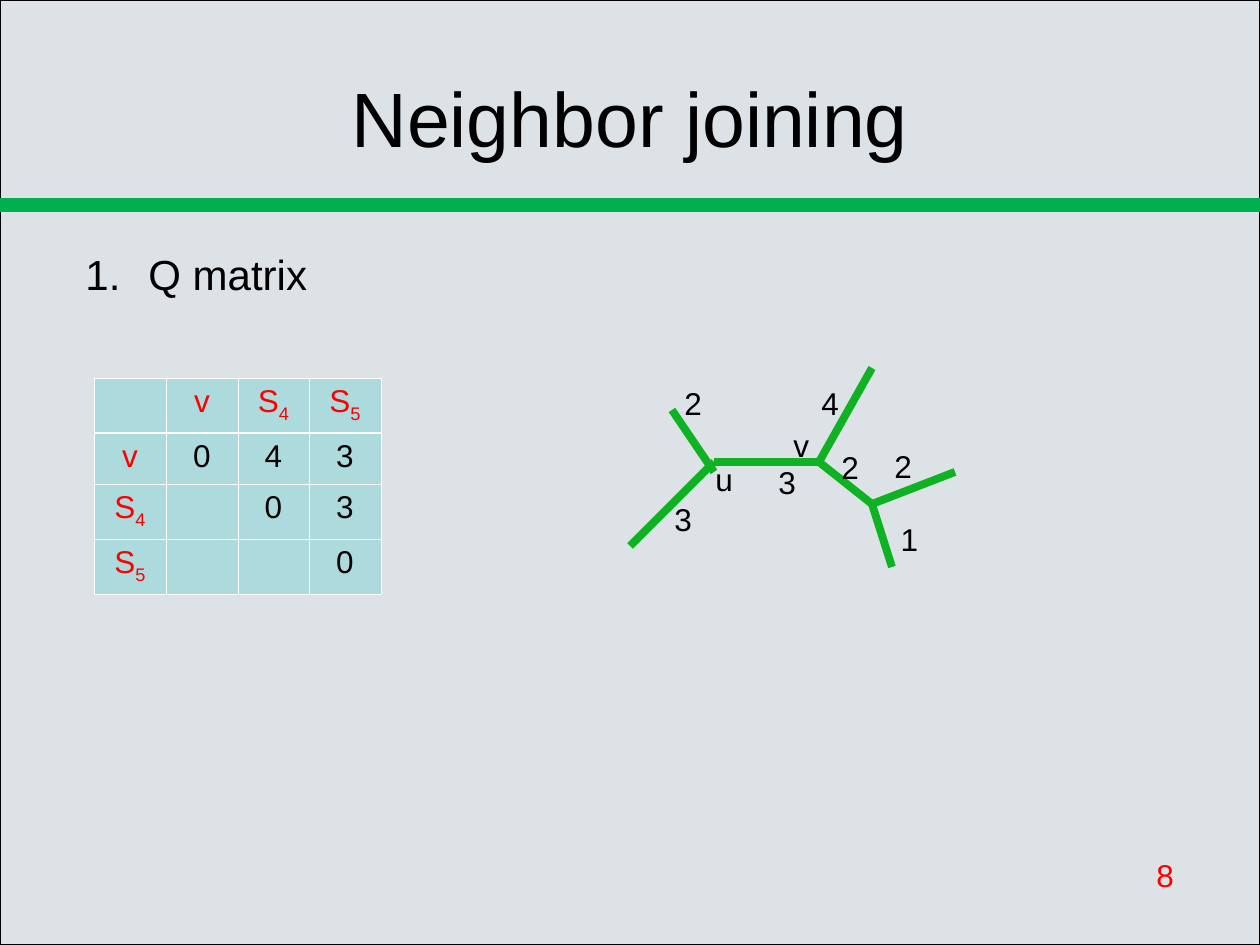
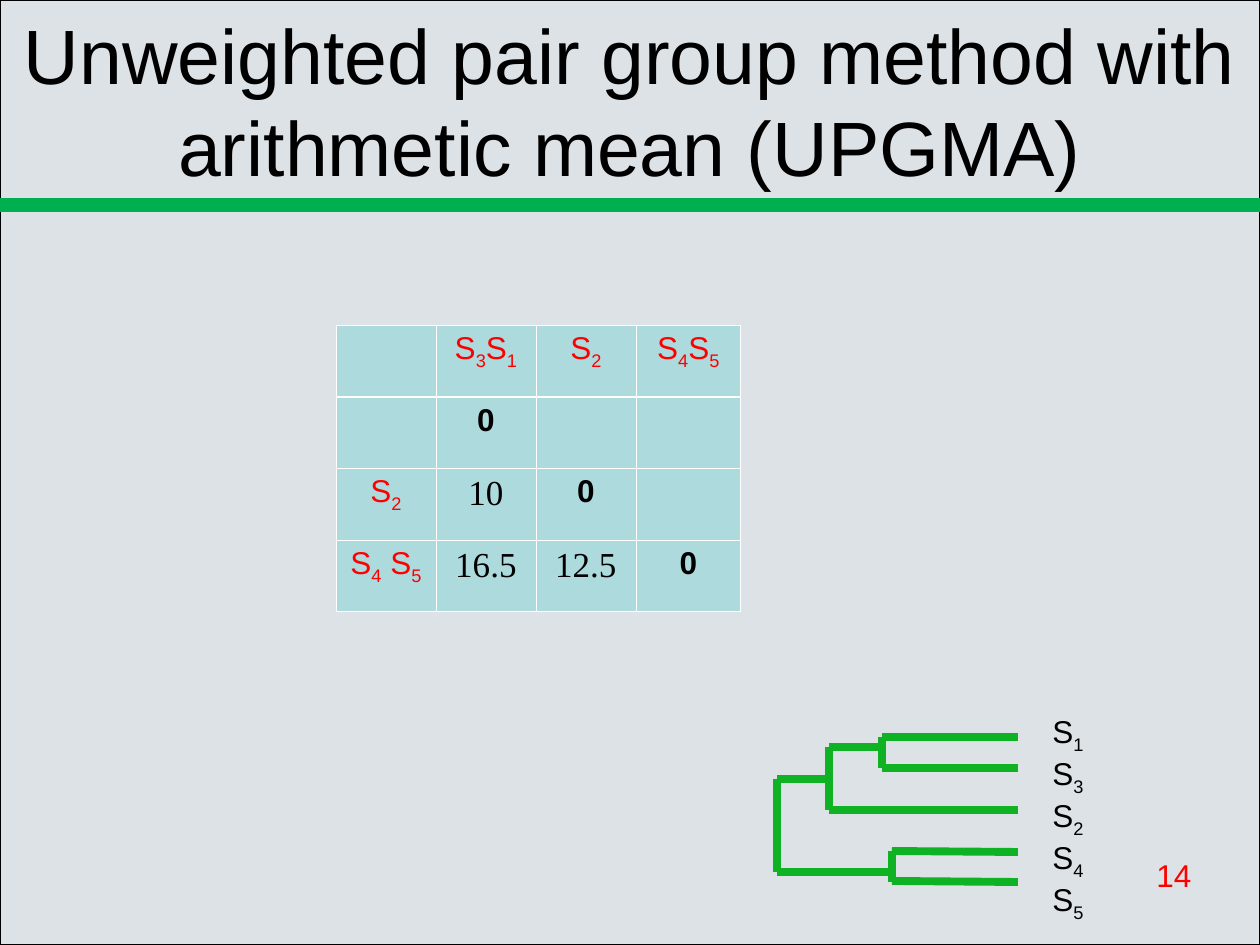
from pptx import Presentation
from pptx.dml.color import RGBColor
from pptx.enum.shapes import MSO_CONNECTOR, MSO_SHAPE
from pptx.enum.text import MSO_ANCHOR, MSO_AUTO_SIZE, PP_ALIGN
from pptx.oxml.ns import qn
from pptx.util import Pt
from lxml.etree import SubElement

WIDE, HIGH = 1260, 945
SCALE = 914400 / 126
HUES = {"back": "DDE2E7", "band": "00B050", "tree": "0EB222", "cell": "ADDADD",
        "ink": "000000", "red": "FF0000", "white": "FFFFFF"}

BASE = {"name": "Arial", "size": Pt(18), "bold": False}
BOLD = {**BASE, "bold": True}
SERIF = {**BASE, "name": "Times New Roman", "size": Pt(20)}
HEAD = {**BASE, "size": Pt(44)}
LIST = {**BASE, "size": Pt(24)}
FRAME = {"word_wrap": True, "auto_size": MSO_AUTO_SIZE.NONE}
MID = {**FRAME, "vertical_anchor": MSO_ANCHOR.MIDDLE}
PLAIN = {"first_row": False, "horz_banding": False}

SLIDES = [
    {
        "title": "Neighbor joining",
        "spot": (63, 38, 1134, 158),
        "page": "8",
        "steps": ["Q matrix"],
        "grid": [["", "v", "S_4", "S_5"],
                 ["v", "0", "4", "3"],
                 ["S_4", "", "0", "3"],
                 ["S_5", "", "", "0"]],
        "at": (94, 378),
        "cols": [72, 72, 71, 72],
        "rows": [55, 51, 55, 55],
        "zero": BASE,
        "value": BASE,
        "lines": [(672, 410, 714, 472), (714, 462, 630, 546),
                  (714, 462, 819, 462), (819, 462, 872, 368),
                  (819, 462, 872, 504), (872, 504, 955, 472),
                  (872, 504, 892, 567)],
        "labels": [("2", 672, 378, 32, 50), ("3", 662, 494, 42, 50),
                   ("u", 703, 454, 32, 50), ("3", 766, 457, 42, 50),
                   ("v", 781, 420, 32, 50), ("4", 809, 378, 32, 50),
                   ("2", 882, 441, 42, 50), ("1", 892, 514, 21, 50),
                   ("2", 829, 442, 42, 50)],
    },
    {
        "title": "Unweighted pair group method with arithmetic mean (UPGMA)",
        "spot": (0, 0, 1260, 199),
        "page": "14",
        "steps": [],
        "grid": [["", "S_3S_1", "S_2", "S_4S_5"],
                 ["", "0", "", ""],
                 ["S_2", "10", "0", ""],
                 ["S_4 S_5", "16.5", "12.5", "0"]],
        "at": (336, 325),
        "cols": [100, 100, 100, 105],
        "rows": [72, 71, 72, 71],
        "zero": BOLD,
        "value": SERIF,
        "lines": [(882, 737, 1018, 737), (882, 768, 1018, 768),
                  (829, 810, 1018, 810), (892, 851, 1018, 852),
                  (892, 881, 1018, 882), (882, 737, 882, 768),
                  (829, 747, 882, 747), (829, 747, 829, 810),
                  (777, 779, 829, 779), (777, 779, 777, 872),
                  (892, 851, 892, 882), (777, 872, 892, 872)],
        "labels": [(name, 1040, 706 + 42 * i, 84, 55)
                   for i, name in enumerate(["S_1", "S_3", "S_2", "S_4", "S_5"])],
    },
]


def px(*nums):
    return [round(n * SCALE) for n in nums]


def tint(hue):
    return RGBColor.from_string(HUES[hue])


def put(thing, vals):
    for key, val in vals.items():
        setattr(thing, key, val)


def write(para, text, style, hue="ink"):
    def add(part, low=False):
        if part:
            run = para.add_run()
            run.text = part
            put(run.font, style)
            run.font.color.rgb = tint(hue)
            if low:
                run._r.get_or_add_rPr().set("baseline", "-25000")

    first, *rest = text.split("_")
    add(first)
    for part in rest:
        add(part[0], True)
        add(part[1:])


def label(slide, text, *box, style=BASE, hue="ink"):
    frame = slide.shapes.add_textbox(*px(*box)).text_frame
    put(frame, FRAME)
    para = frame.paragraphs[0]
    write(para, text, style, hue)
    return para


def block(slide, box, fill, edge, width):
    rect = slide.shapes.add_shape(MSO_SHAPE.RECTANGLE, *px(*box))
    rect.shadow.inherit = False
    rect.fill.solid()
    rect.fill.fore_color.rgb = tint(fill)
    rect.line.color.rgb = tint(edge)
    rect.line.width = Pt(width)


def base(slide, data):
    block(slide, (0, 0, WIDE, HIGH), "back", "ink", 0.75)
    label(slide, data["page"], 1144, 850, 73, 50, hue="red")
    block(slide, (0, 200, WIDE, 10), "band", "band", 2)
    title = slide.shapes.title
    slide.shapes._spTree.append(title._element)
    put(title, dict(zip(("left", "top", "width", "height"), px(*data["spot"]))))
    put(title.text_frame, MID)
    para = title.text_frame.paragraphs[0]
    para.alignment = PP_ALIGN.CENTER
    write(para, data["title"], HEAD)


def number(para):
    props = para._p.get_or_add_pPr()
    put_in = px(63)[0]
    props.set("marL", str(put_in))
    props.set("indent", str(-put_in))
    SubElement(props, qn("a:buFont"), typeface="Arial")
    SubElement(props, qn("a:buAutoNum"), type="arabicPeriod")


def border(cell, row):
    props = cell._tc.get_or_add_tcPr()
    thick = {"T": row == 1, "B": row == 0}
    for side in "LRTB":
        width = Pt(1.47 if thick.get(side) else 0.45)
        line = SubElement(props, qn("a:ln" + side), w=str(int(width)))
        fill = SubElement(line, qn("a:solidFill"))
        SubElement(fill, qn("a:srgbClr"), val=HUES["white"])


def matrix(slide, data):
    grid, cols, rows = data["grid"], data["cols"], data["rows"]
    box = px(*data["at"], sum(cols), sum(rows))
    table = slide.shapes.add_table(len(rows), len(cols), *box).table
    put(table, PLAIN)
    for col, width in zip(table.columns, px(*cols)):
        col.width = width
    for row, height in zip(table.rows, px(*rows)):
        row.height = height
    for r, texts in enumerate(grid):
        for c, text in enumerate(texts):
            cell = table.cell(r, c)
            border(cell, r)
            cell.fill.solid()
            cell.fill.fore_color.rgb = tint("cell")
            para = cell.text_frame.paragraphs[0]
            para.alignment = PP_ALIGN.CENTER
            if r == 0 or c == 0:
                write(para, text, BASE, "red")
            else:
                write(para, text, data["zero" if text == "0" else "value"])


def tree(slide, data):
    for ends in data["lines"]:
        line = slide.shapes.add_connector(MSO_CONNECTOR.STRAIGHT, *px(*ends))
        line.line.color.rgb = tint("tree")
        line.line.width = Pt(4.5)
        SubElement(line._element.spPr, qn("a:effectLst"))
    for item in data["labels"]:
        label(slide, *item)


def main():
    deck = Presentation()
    deck.slide_width, deck.slide_height = px(WIDE, HIGH)
    for data in SLIDES:
        slide = deck.slides.add_slide(deck.slide_layouts[5])
        base(slide, data)
        for step in data["steps"]:
            number(label(slide, step, 73, 242, 1113, 116, style=LIST))
        matrix(slide, data)
        tree(slide, data)
    deck.save("out.pptx")


if __name__ == "__main__":
    main()
